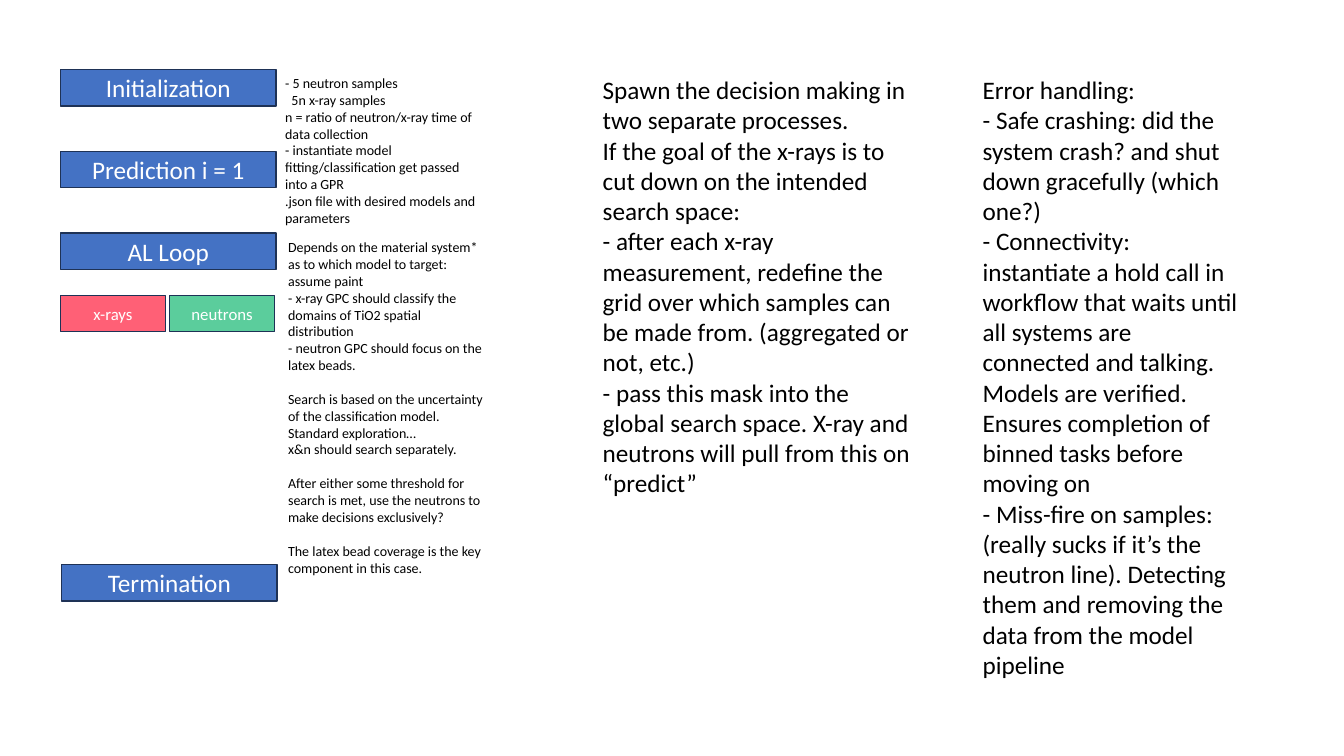
"""Build a slide on the steps, search rules and error handling of an active-learning workflow."""
import pptx
import pptx.dml.color
import pptx.enum.shapes
import pptx.enum.text
import pptx.util

Pt = pptx.util.Pt
CENTER = pptx.enum.text.PP_ALIGN.CENTER
LEFT = pptx.enum.text.PP_ALIGN.LEFT


def rgb(value):
    """Turn a hex string into a colour."""
    return pptx.dml.color.RGBColor.from_string(value)


def write(frame, groups, size=18, color="000000", align=LEFT, gap=12.2, indents=()):
    """Write groups of paragraphs, with a gap above every group after the first."""
    frame.word_wrap = True
    lines = [(line, number > 0 and line == group[0])
             for number, group in enumerate(groups) for line in group]
    for index, (line, spaced) in enumerate(lines):
        paragraph = frame.paragraphs[0] if index == 0 else frame.add_paragraph()
        paragraph.alignment = align
        if spaced:
            paragraph.space_before = Pt(gap)
        if index in indents:
            paragraph._p.get_or_add_pPr().set("marL", str(Pt(4.5)))
        run = paragraph.add_run()
        run.text = line
        run.font.name = "Calibri"
        run.font.size = Pt(size)
        run.font.color.rgb = rgb(color)


deck = pptx.Presentation()
deck.slide_width, deck.slide_height = Pt(960), Pt(540)
slide = deck.slides.add_slide(deck.slide_layouts[6])

step_left, step_top, step_pitch = 43.2, 49.7, 58.4
step_width, step_height = 154, 26
branch_width, branch_top = 75, 211

steps = [
    (name, step_left, step_top + row * step_pitch, step_width, "4472C4", 18)
    for row, name in enumerate(["Initialization", "Prediction i = 1", "AL Loop"])
]
steps.append(("Termination", 44, 403.2, step_width, "4472C4", 18))
branches = [
    (name, step_left + column * (step_width - branch_width - 1), branch_top, branch_width, fill, 12)
    for column, (name, fill) in enumerate([("x-rays", "FF6076"), ("neutrons", "5BCD9C")])
]
for name, left, top, width, fill, size in steps + branches:
    box = slide.shapes.add_shape(
        pptx.enum.shapes.MSO_SHAPE.RECTANGLE, Pt(left), Pt(top), Pt(width), Pt(step_height))
    box.shadow.inherit = False
    box.fill.solid()
    box.fill.fore_color.rgb = rgb(fill)
    box.line.color.rgb = rgb("1E3256")
    box.line.width = Pt(1)
    box.text_frame.vertical_anchor = pptx.enum.text.MSO_ANCHOR.MIDDLE
    write(box.text_frame, [[name]], size=size, color="FFFFFF", align=CENTER)

setup_notes = [[
    "- 5 neutron samples",
    "5n x-ray samples",
    "n = ratio of neutron/x-ray time of data collection",
    "- instantiate model fitting/classification get passed into a GPR",
    ".json file with desired models and parameters",
]]
loop_notes = [
    ["Depends on the material system* as to which model to target: assume paint",
     "- x-ray GPC should classify the domains of TiO2 spatial distribution",
     "- neutron GPC should focus on the latex beads."],
    ["Search is based on the uncertainty of the classification model. Standard exploration…",
     "x&n should search separately."],
    ["After either some threshold for search is met, use the neutrons to make decisions exclusively?"],
    ["The latex bead coverage is the key component in this case."],
]
error_handling = [[
    "Error handling:",
    "- Safe crashing: did the system crash? and shut down gracefully (which one?)",
    "- Connectivity: instantiate a hold call in workflow that waits until all systems are "
    "connected and talking. Models are verified. Ensures completion of binned tasks before moving on",
    "- Miss-fire on samples:",
    "(really sucks if it’s the neutron line). Detecting them and removing the data from the model pipeline",
]]
decision_making = [[
    "Spawn the decision making in two separate processes.",
    "If the goal of the x-rays is to cut down on the intended search space:",
    "- after each x-ray measurement, redefine the grid over which samples can be made from. "
    "(aggregated or not, etc.)",
    "- pass this mask into the global search space. X-ray and neutrons will pull from this on “predict”",
]]

for groups, left, top, width, height, size, indents in [
    (setup_notes, 196.6, step_top, step_width, 116.6, 10, (1,)),
    (loop_notes, 198.7, 167, step_width, 249.8, 10, ()),
    (error_handling, 694.8, step_top, 200.9, 443.5, 18, ()),
    (decision_making, 423.4, step_top, 235.4, 312.5, 18, ()),
]:
    note = slide.shapes.add_textbox(Pt(left), Pt(top), Pt(width), Pt(height))
    write(note.text_frame, groups, size=size, indents=indents)

deck.save("out.pptx")
